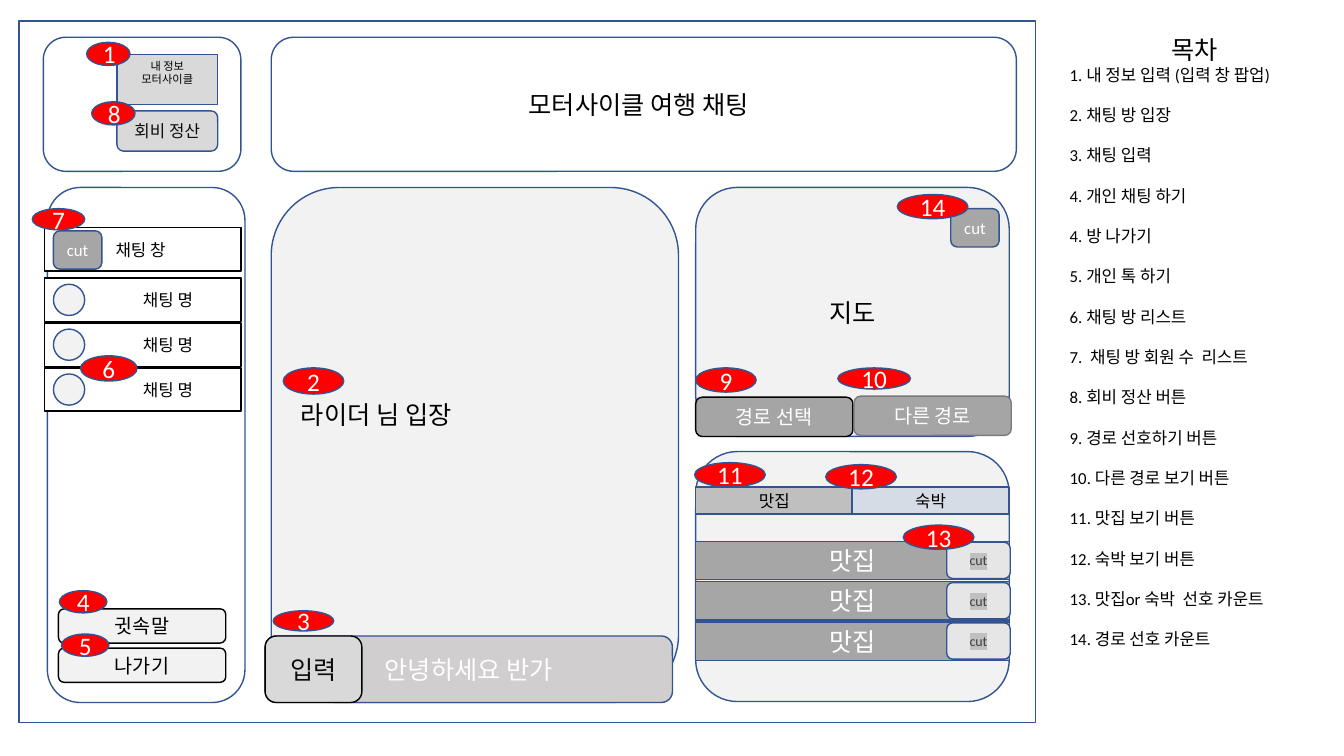
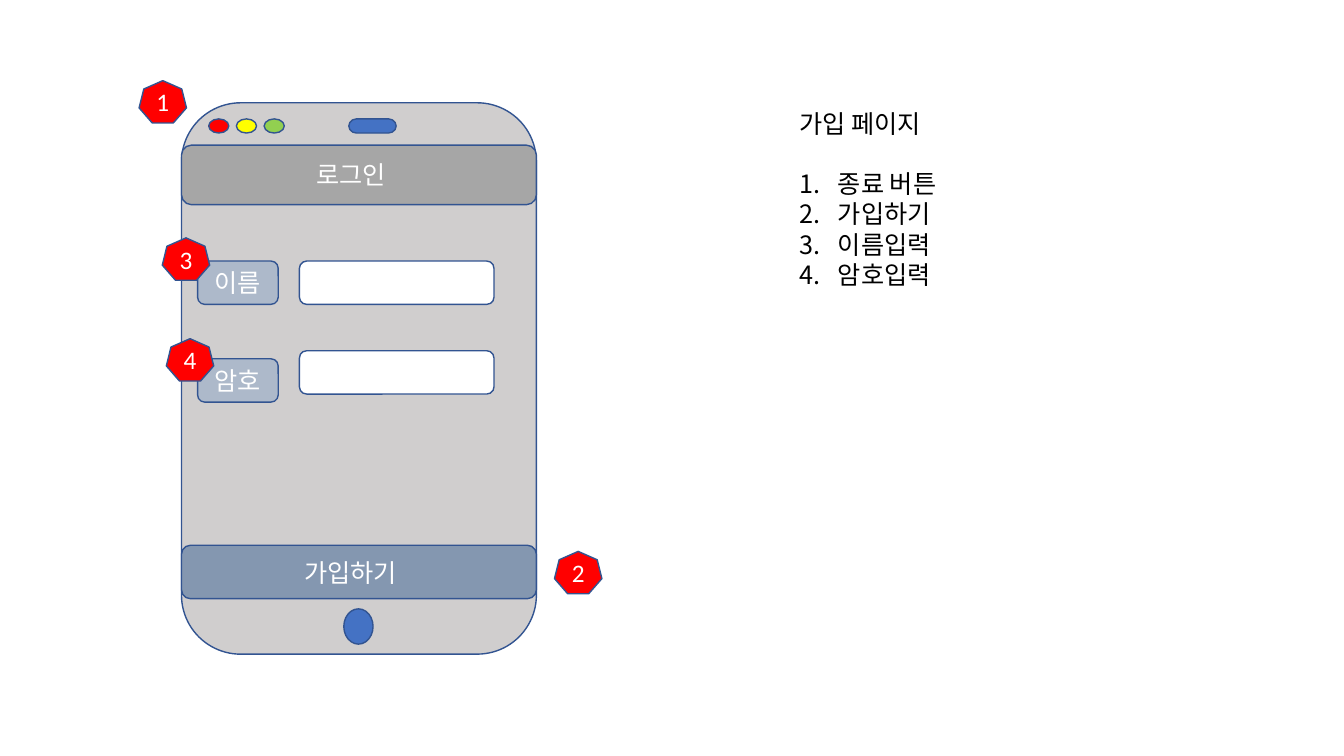
from lxml.etree import SubElement
from pptx import Presentation
from pptx.dml.color import RGBColor
from pptx.enum.shapes import MSO_SHAPE as Shape
from pptx.enum.text import MSO_ANCHOR as Anchor, MSO_AUTO_SIZE as AutoSize, PP_ALIGN as Align
from pptx.oxml.ns import qn
from pptx.util import Inches, Pt

FONT = "Calibri"
WHITE, BLACK, INK = "FFFFFF", "000000", "0D0D0D"
OUTLINE, RED, BLUE = "325491", "FF0000", "4472C4"
PALE, LIGHT, SILVER, GREY = "F2F2F2", "D9D9D9", "D0CECE", "A6A6A6"
RECT, ROUND, OVAL = Shape.RECTANGLE, Shape.ROUNDED_RECTANGLE, Shape.OVAL


def rgb(value):
    return RGBColor.from_string(value)


class Wireframe:
    """Shared style plus the slide being drawn."""

    def __init__(self, deck):
        self.deck = deck
        self.slide = None

    def new_slide(self):
        self.slide = self.deck.slides.add_slide(self.deck.slide_layouts[1])

    def style(self, paragraph, size, color, align):
        paragraph.alignment = align
        for run in paragraph.runs:
            run.font.name = FONT
            run.font.size = Pt(size)
            run.font.color.rgb = rgb(color)

    def place(self, holder, box):
        holder.left, holder.top, holder.width, holder.height = map(Inches, box)
        frame = holder.text_frame
        frame.word_wrap = True
        frame.auto_size = AutoSize.NONE
        return frame

    def title(self, text, box, align):
        frame = self.place(self.slide.shapes.title, box)
        frame.text = text
        frame.vertical_anchor = Anchor.MIDDLE
        self.style(frame.paragraphs[0], 18, BLACK, align)

    def items(self, lines, box, size, gap=0, numbered=False):
        frame = self.place(self.slide.placeholders[1], box)
        frame.text = "\n".join(lines)
        frame.vertical_anchor = Anchor.TOP
        indent = Inches(0.38) if numbered else 0
        for paragraph in frame.paragraphs:
            self.style(paragraph, size, BLACK, Align.LEFT)
            paragraph.space_before = Pt(0)
            paragraph.space_after = Pt(gap)
            props = paragraph._p.get_or_add_pPr()
            props.set("marL", str(indent))
            props.set("indent", str(-indent))
            if numbered:
                SubElement(props, qn("a:buFont"), typeface="+mj-lt")
                SubElement(props, qn("a:buAutoNum"), type="arabicPeriod")
            else:
                SubElement(props, qn("a:buNone"))

    def box(self, kind, box, fill, text="", size=18, color=BLACK, line=OUTLINE,
            align=Align.CENTER, anchor=Anchor.MIDDLE, dx=0, dy=0):
        """Draw a shape; dx and dy move its text through the insets."""
        shape = self.slide.shapes.add_shape(kind, *map(Inches, box))
        shape.shadow.inherit = False
        shape.fill.solid()
        shape.fill.fore_color.rgb = rgb(fill)
        shape.line.color.rgb = rgb(line)
        shape.line.width = Pt(1)
        if text:
            frame = shape.text_frame
            frame.word_wrap = True
            frame.vertical_anchor = anchor
            frame.margin_left = Inches(0.1 + 2 * max(dx, 0))
            frame.margin_right = Inches(0.1 + 2 * max(-dx, 0))
            frame.margin_bottom = Inches(0.05 + 2 * max(-dy, 0))
            frame.text = text
            for paragraph in frame.paragraphs:
                self.style(paragraph, size, color, align)
        return shape

    def badge(self, kind, number, box):
        self.box(kind, box, RED, str(number), color=WHITE)

    def marked_button(self, box, text):
        """Button whose label carries a grey highlight."""
        button = self.box(ROUND, box, "E7E6E6", text, 10, "404040")
        props = button.text_frame.paragraphs[0].runs[0].font._element
        highlight = SubElement(props, qn("a:highlight"))
        SubElement(highlight, qn("a:srgbClr"), val="C0C0C0")
        props.find(qn("a:solidFill")).addnext(highlight)


def chat_page(page):
    page.new_slide()

    # Contents column
    page.title("목차", (10.6, 0.29, 2.5, 0.4), Align.CENTER)
    page.items([
        "1. 내 정보 입력 (입력 창 팝업)", "2. 채팅 방 입장", "3. 채팅 입력",
        "4. 개인 채팅 하기", "4. 방 나가기", "5. 개인 톡 하기",
        "6. 채팅 방 리스트", "7.  채팅 방 회원 수  리스트", "8. 회비 정산 버튼",
        "9. 경로 선호하기 버튼", "10. 다른 경로 보기 버튼", "11. 맛집 보기 버튼",
        "12. 숙박 보기 버튼", "13. 맛집or 숙박  선호 카운트", "14. 경로 선호 카운트",
    ], (10.51, 0.59, 2.51, 6.4), 12, gap=14.4)

    # Window and its panels
    page.box(RECT, (0.19, 0.21, 10.08, 6.96), WHITE)
    page.box(ROUND, (0.43, 0.37, 1.96, 1.33), WHITE)
    page.box(ROUND, (0.47, 1.86, 1.96, 5.11), WHITE)
    page.box(ROUND, (2.69, 0.37, 7.39, 1.33), WHITE, "모터사이클 여행 채팅", dx=-0.05)
    page.box(ROUND, (2.69, 1.86, 4.04, 5.11), PALE, "라이더 님 입장",
             align=Align.LEFT, dy=-0.3)
    page.box(ROUND, (6.9, 1.86, 3.11, 2.47), PALE, "지도")
    page.box(ROUND, (6.9, 4.48, 3.11, 2.48), PALE)

    # Profile
    page.box(RECT, (1.16, 0.54, 1, 0.5), LIGHT, "내 정보\n모터사이클", 8,
             anchor=Anchor.TOP)
    page.box(ROUND, (1.16, 1.1, 1, 0.4), LIGHT, "회비 정산", 12, INK)

    # Chat rooms
    page.box(RECT, (0.44, 2.26, 1.95, 0.43), WHITE, "채팅 창", 12, line=BLACK, dx=-0.02)
    for row in range(3):
        top = 2.76 + 0.445 * row
        page.box(RECT, (0.44, top, 1.95, 0.43), WHITE, "채팅 명", 12, line=BLACK, dx=0.25)
        page.box(OVAL, (0.53, top + 0.06, 0.31, 0.31), PALE)
    for top, label in ((6.04, "귓속말"), (6.43, "나가기")):
        page.box(ROUND, (0.58, top, 1.66, 0.34), PALE, label, 14, line=BLACK)

    # Message entry
    page.box(ROUND, (2.63, 6.31, 4.04, 0.66), SILVER, "안녕하세요 반가", color=WHITE)
    page.box(ROUND, (2.63, 6.31, 0.96, 0.66), LIGHT, "입력", color=INK, line=BLACK)

    # Route buttons
    page.box(ROUND, (6.9, 3.94, 1.56, 0.39), "A5A5A5", "경로 선택", 14, WHITE, BLACK)
    page.box(ROUND, (8.47, 3.93, 1.56, 0.39), "A5A5A5", "다른 경로", 14, WHITE, "7A7A7A")
    for left, top in ((0.53, 2.29), (9.43, 2.07)):
        page.box(ROUND, (left, top, 0.48, 0.38), GREY, "cut", 12, WHITE)

    # Places to eat and stay
    page.box(RECT, (6.9, 4.83, 1.56, 0.27), "BFBFBF", "맛집", 12)
    page.box(RECT, (8.45, 4.83, 1.56, 0.27), "D6DCE5", "숙박", 12)
    for row in range(3):
        top = 5.37 + 0.4 * row
        page.box(RECT, (6.9, top, 3.11, 0.38), GREY, "맛집", color=WHITE)
        page.marked_button((9.39, top + 0.01, 0.63, 0.36), "cut")

    # Numbered markers
    markers = {
        1: (0.86, 0.42, 0.43, 0.23), 2: (2.81, 3.65, 0.6, 0.26),
        3: (2.71, 6.06, 0.6, 0.2), 4: (0.59, 5.86, 0.47, 0.22),
        5: (0.61, 6.29, 0.47, 0.22), 6: (0.8, 3.53, 0.56, 0.25),
        7: (0.32, 2.07, 0.52, 0.21), 8: (0.91, 1.01, 0.43, 0.23),
        9: (6.9, 3.65, 0.6, 0.24), 10: (8.31, 3.65, 0.72, 0.21),
        11: (6.89, 4.59, 0.7, 0.24), 12: (8.19, 4.61, 0.7, 0.24),
        13: (8.96, 5.21, 0.7, 0.24), 14: (8.9, 1.93, 0.7, 0.24),
    }
    for number, spot in markers.items():
        page.badge(OVAL, number, spot)


def join_page(page):
    page.new_slide()

    # Explanation
    page.title("가입 페이지", (7.83, 1.02, 3.65, 0.4), Align.LEFT)
    page.items(["종료 버튼", "가입하기", "이름입력", "암호입력"],
               (7.83, 1.62, 3.65, 1.32), 18, numbered=True)

    # Phone
    page.box(ROUND, (1.8, 1.02, 3.52, 5.47), SILVER)
    page.box(ROUND, (1.8, 1.44, 3.52, 0.59), GREY, "로그인", color=WHITE, dx=-0.08)
    page.box(ROUND, (1.8, 5.41, 3.52, 0.53), "8497B0", "가입하기", color=WHITE, dx=-0.08)
    for column, light in enumerate((RED, "FFFF00", "92D050")):
        page.box(OVAL, (2.07 + 0.275 * column, 1.18, 0.2, 0.14), light)
    page.box(OVAL, (3.41, 6.04, 0.29, 0.35), BLUE)
    page.box(Shape.FLOWCHART_TERMINATOR, (3.46, 1.18, 0.47, 0.14), BLUE)

    # Entry fields
    for label, label_top, field_top in (("이름", 2.59, 2.59), ("암호", 3.56, 3.48)):
        page.box(ROUND, (1.96, label_top, 0.8, 0.43), "ADB9CA", label, color=WHITE)
        page.box(ROUND, (2.97, field_top, 1.93, 0.43), WHITE)

    # Numbered markers
    spots = ((1.38, 0.8), (5.5, 5.47), (1.61, 2.36), (1.65, 3.36))
    for number, (left, top) in enumerate(spots, 1):
        page.badge(Shape.HEPTAGON, number, (left, top, 0.47, 0.42))


def main():
    deck = Presentation()
    deck.slide_width, deck.slide_height = Inches(13.33), Inches(7.5)
    page = Wireframe(deck)
    chat_page(page)
    join_page(page)
    deck.save("out.pptx")


if __name__ == "__main__":
    main()
